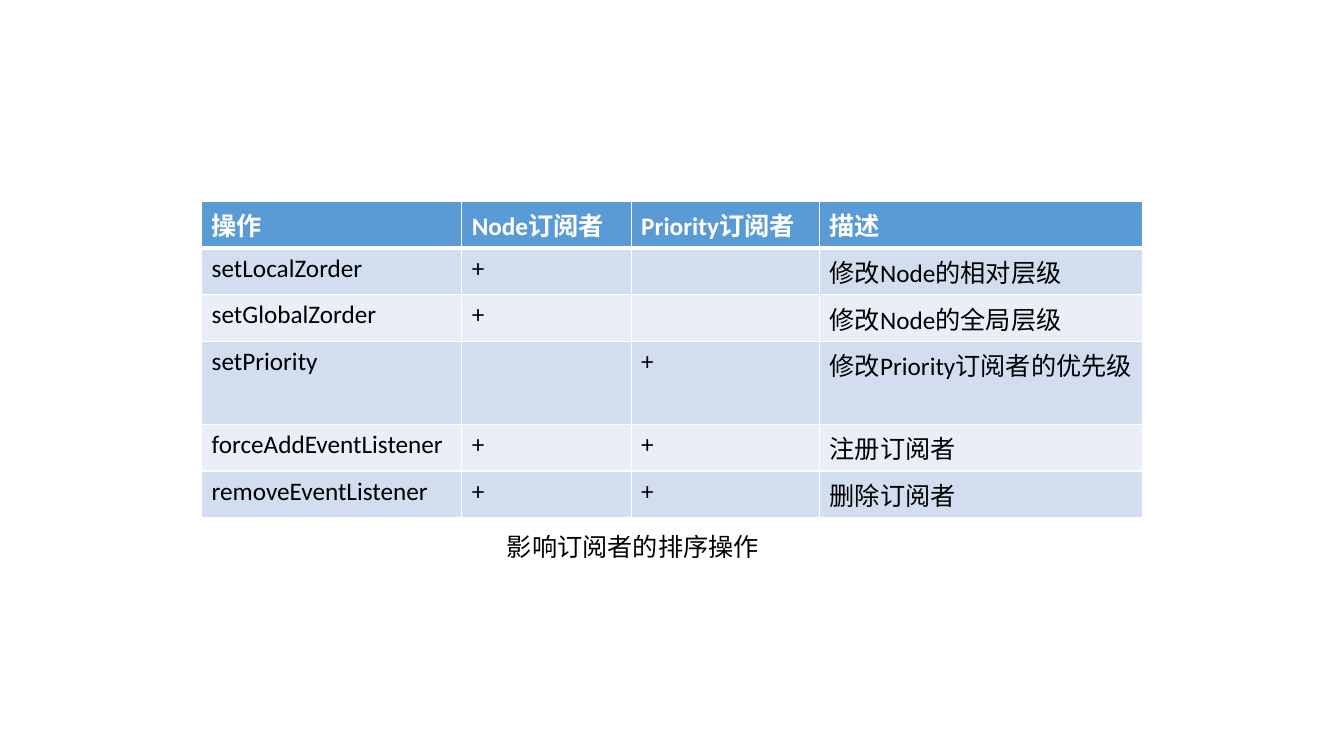
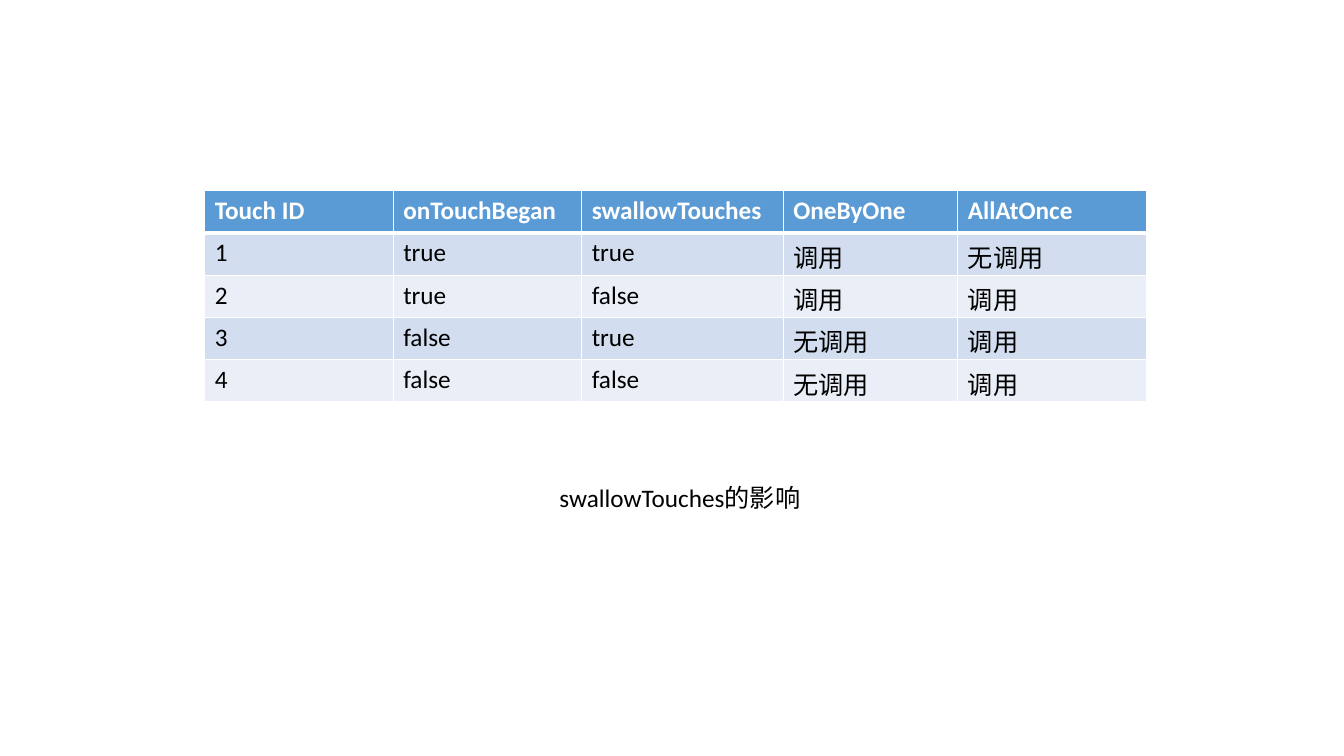
from lxml import etree
from pptx import Presentation
from pptx import util as u
from pptx.dml.color import RGBColor
from pptx.enum import text
from pptx.oxml.ns import qn

HUES = {"head": "5B9BD5", "odd": "D2DEEF", "even": "EAEFF7",
        "line": "FFFFFF", "ink": "000000"}
BODY = {"name": "Calibri", "size": u.Pt(18), "bold": False}
HEAD = {**BODY, "bold": True}

ORDER = [
    ["操作", "Node订阅者", "Priority订阅者", "描述"],
    ["setLocalZorder", "+", "", "修改Node的相对层级"],
    ["setGlobalZorder", "+", "", "修改Node的全局层级"],
    ["setPriority", "", "+", "修改Priority订阅者的优先级"],
    ["forceAddEventListener", "+", "+", "注册订阅者"],
    ["removeEventListener", "+", "+", "删除订阅者"],
]
TOUCH = [
    ["Touch ID", "onTouchBegan", "swallowTouches", "OneByOne", "AllAtOnce"],
    ["1", "true", "true", "调用", "无调用"],
    ["2", "true", "false", "调用", "调用"],
    ["3", "false", "true", "无调用", "调用"],
    ["4", "false", "false", "无调用", "调用"],
]


def color(key):
    return RGBColor.from_string(HUES[key])


def style(font, form, key):
    for name, value in form.items():
        setattr(font, name, value)
    font.color.rgb = color(key)


def border(cell, widths):
    props = cell._tc.get_or_add_tcPr()
    for side, width in widths.items():
        line = etree.SubElement(props, qn("a:ln" + side), w=str(u.Pt(width)))
        fill = etree.SubElement(line, qn("a:solidFill"))
        etree.SubElement(fill, qn("a:srgbClr"), val=HUES["line"])


def paint(cell, words, row):
    is_head = row == 0
    border(cell, {"L": 1, "R": 1, "T": 3 if row == 1 else 1, "B": 3 if is_head else 1})
    cell.fill.solid()
    cell.fill.fore_color.rgb = color("head" if is_head else "odd" if row % 2 else "even")
    cell.text = words
    para = cell.text_frame.paragraphs[0]
    style(para.font, HEAD if is_head else BODY, "line" if is_head else "ink")
    for run in para.runs:
        style(run.font, HEAD if is_head else BODY, "line" if is_head else "ink")


def add_grid(slide, left, top, widths, rows):
    high = 0.42
    frame = slide.shapes.add_table(
        len(rows), len(widths), u.Inches(left), u.Inches(top),
        u.Inches(sum(widths)), u.Inches(high * len(rows)))
    table = frame.table
    for column, width in zip(table.columns, widths):
        column.width = u.Inches(width)
    for r, row in enumerate(rows):
        table.rows[r].height = u.Inches(high)
        for c, words in enumerate(row):
            paint(table.cell(r, c), words, r)


def add_label(slide, left, top, width, words):
    box = slide.shapes.add_textbox(
        u.Inches(left), u.Inches(top), u.Inches(width), u.Inches(0.4))
    frame = box.text_frame
    frame.word_wrap = True
    frame.auto_size = text.MSO_AUTO_SIZE.SHAPE_TO_FIT_TEXT
    run = frame.paragraphs[0].add_run()
    run.text = words
    style(run.font, BODY, "ink")


def main():
    deck = Presentation()
    deck.slide_width, deck.slide_height = u.Inches(13.33), u.Inches(7.5)
    blank = deck.slide_layouts[6]

    slide = deck.slides.add_slide(blank)
    add_grid(slide, 2, 2, [2.58, 1.68, 1.87, 3.2], ORDER)
    add_label(slide, 4.93, 5.22, 2.7, "影响订阅者的排序操作")

    slide = deck.slides.add_slide(blank)
    add_grid(slide, 2.03, 1.89, [1.87, 1.87, 2, 1.73, 1.87], TOUCH)
    add_label(slide, 5.45, 4.74, 2.59, "swallowTouches的影响")

    deck.save("out.pptx")


main()
